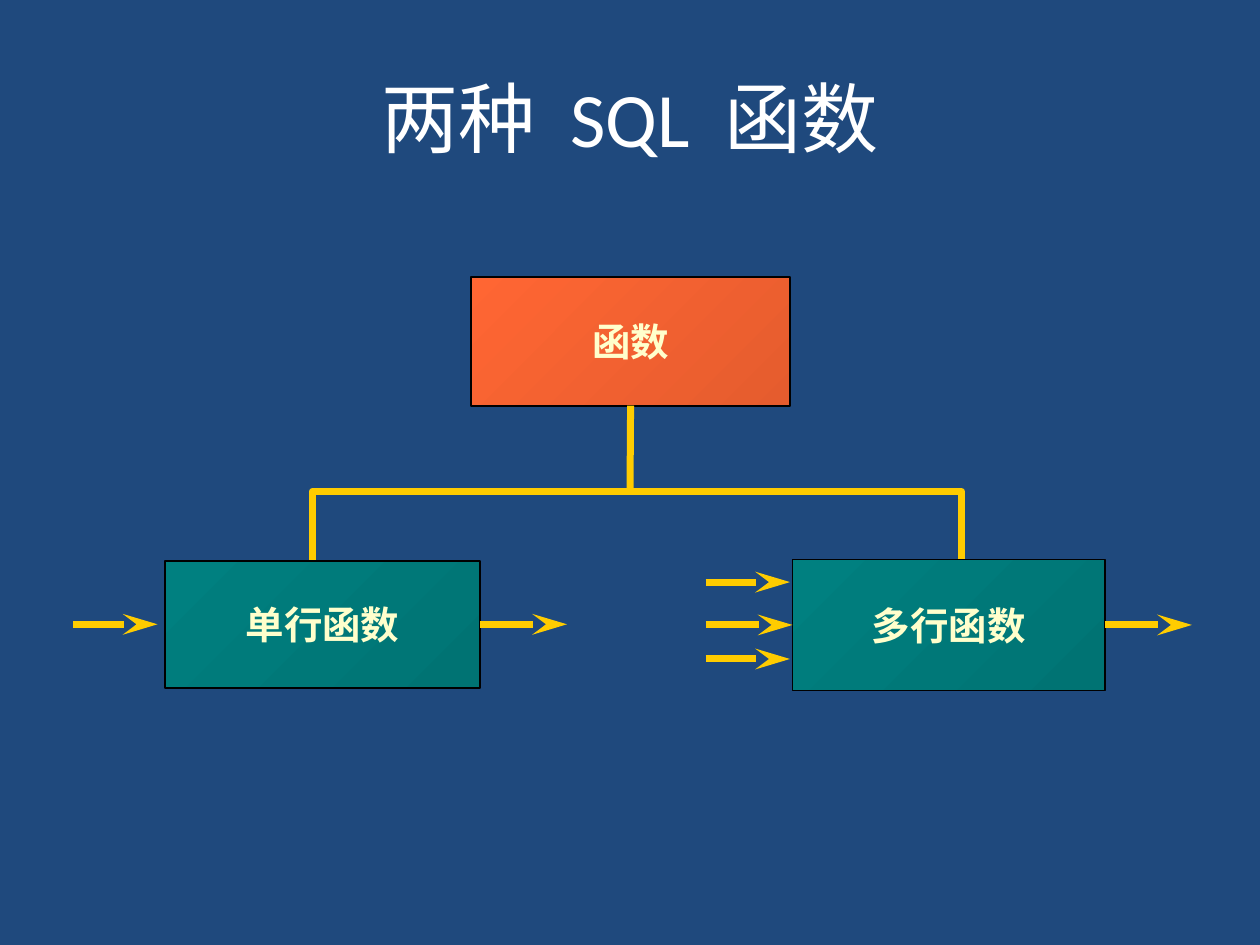
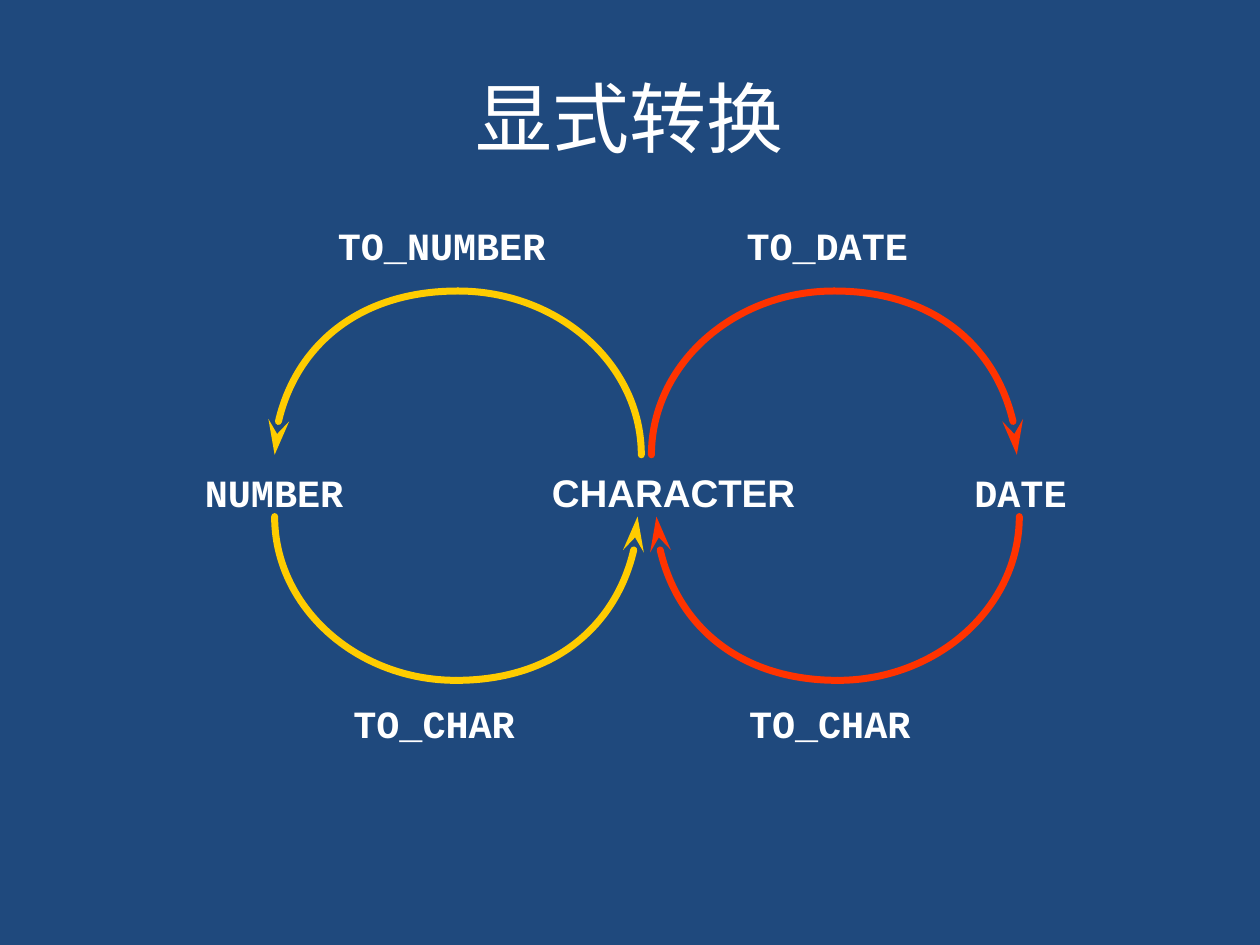
from collections import namedtuple

from lxml import etree
from pptx import Presentation
from pptx import util as u
from pptx.dml.color import RGBColor
from pptx.enum import shapes, text
from pptx.oxml import ns

Box = namedtuple("Box", "left top width height")

NAVY = RGBColor(0x1F, 0x49, 0x7D)
WHITE = RGBColor(0xFF, 0xFF, 0xFF)
BLACK = RGBColor(0, 0, 0)
CREAM = RGBColor(0xFF, 0xFF, 0xCC)
YELLOW = RGBColor(0xFF, 0xCC, 0x00)
RED = RGBColor(0xFF, 0x33, 0x00)
ORANGE_FADE = (RGBColor(0xFF, 0x66, 0x33), RGBColor(0xE5, 0x5C, 0x2E))
TEAL_FADE = (RGBColor(0x00, 0x80, 0x80), RGBColor(0x00, 0x73, 0x73))

WIDTH, HEIGHT = u.Inches(10), u.Inches(7.5)
COLUMN, ROW = WIDTH / 100, HEIGHT / 75
TITLE_BOX = Box(5, 3, 90, 12.5)
TITLE_FONT = {"name": "Calibri", "size": u.Pt(44)}
LABEL_FONT = {"name": "Courier New", "size": u.Pt(22), "bold": True}
NAME_FONT = {**LABEL_FONT, "name": "Arial"}
NODE_FONT = {**NAME_FONT, "color": CREAM}
ROUND_BEND = 0.55
ARROW_LENGTH = 6.7


def place(x, y):
    return round(x * COLUMN), round(y * ROW)


def frame_of(box):
    return place(box.left, box.top) + place(box.width, box.height)


def within(box, across, down):
    return box.left + box.width * across, box.top + box.height * down


def write(frame, words, font, gap=None):
    para = frame.paragraphs[0]
    para.alignment = text.PP_ALIGN.CENTER
    for index, word in enumerate(words):
        pieces = [(" ", gap)] if index else []
        for piece, spacing in pieces + [(word, None)]:
            span = para.add_run()
            span.text = piece
            span.font.color.rgb = font.get("color", WHITE)
            for key, value in font.items():
                if key != "color":
                    setattr(span.font, key, value)
            if spacing:
                span.font._element.set("spc", str(spacing))


def label(page, box, words, font=LABEL_FONT, anchor=text.MSO_ANCHOR.TOP, gap=None):
    frame = page.shapes.add_textbox(*frame_of(box)).text_frame
    frame.word_wrap = True
    frame.vertical_anchor = anchor
    write(frame, words, font, gap)


def new_page(deck, title):
    page = deck.slides.add_slide(deck.slide_layouts[6])
    page.background.fill.solid()
    page.background.fill.fore_color.rgb = NAVY
    label(page, TITLE_BOX, title, TITLE_FONT, text.MSO_ANCHOR.MIDDLE, 1000)
    return page


def stroke(item, color, arrow=None, cap="flat"):
    item.line.color.rgb = color
    item.line.width = u.Pt(4)
    outline = item.line._get_or_add_ln()
    outline.set("cap", cap)
    if arrow:
        etree.SubElement(outline, ns.qn("a:" + arrow), type="stealth", w="med", len="lg")


def wire(page, start, end, arrow=None):
    line = page.shapes.add_connector(
        shapes.MSO_CONNECTOR.STRAIGHT, *place(*start), *place(*end))
    stroke(line, YELLOW, arrow)
    etree.SubElement(line._element.spPr, ns.qn("a:effectLst"))
    return line


def outline(page, points, color, arrow=None):
    first, *rest = [place(*point) for point in points]
    builder = page.shapes.build_freeform(*first)
    builder.add_line_segments(rest, close=False)
    curve = builder.convert_to_shape()
    curve.fill.background()
    curve.shadow.inherit = False
    stroke(curve, color, arrow, "rnd")
    return curve


def node(page, box, words, fade):
    shape = page.shapes.add_shape(shapes.MSO_SHAPE.RECTANGLE, *frame_of(box))
    shape.shadow.inherit = False
    shape.fill.gradient()
    shape.fill.gradient_angle = 315
    for stop, color in zip(shape.fill.gradient_stops, fade):
        stop.color.rgb = color
    shape.line.color.rgb = BLACK
    shape.line.width = u.Pt(1)
    frame = shape.text_frame
    frame.word_wrap = False
    frame.vertical_anchor = text.MSO_ANCHOR.MIDDLE
    write(frame, [words], NODE_FONT)
    return shape


def function_node(page, box, words, input_offsets, gap):
    leaf = node(page, box, words, TEAL_FADE)
    x, middle = within(box, 0, 0.5)
    for offset in input_offsets:
        tip = x - gap
        y = middle + offset
        line = wire(page, (tip - ARROW_LENGTH, y), (tip, y), "tailEnd")
        if offset == 0 and gap < 0.5:
            line.end_connect(leaf, 1)
    x, middle = within(box, 1, 0.5)
    output = wire(page, (x, middle), (x + ARROW_LENGTH + 0.2, middle), "tailEnd")
    output.begin_connect(leaf, 3)


def function_tree(page, box):
    root_box = Box(37.4, box.top, 25.3, 10.2)
    single_box = Box(box.left, 44.5, 25, 10.1)
    multi_box = Box(62.9, 44.4, 24.8, 10.4)
    bus = 39
    root = node(page, root_box, "函数", ORANGE_FADE)
    trunk = wire(page, within(root_box, 0.5, 1), (50, bus))
    trunk.begin_connect(root, 2)
    left, right = 24.8, 76.3
    outline(page, [(left, 44.4), (left, bus), (right, bus), (right, 44.4)], YELLOW)
    function_node(page, single_box, "单行函数", [0], 0.6)
    function_node(page, multi_box, "多行函数", [-3.4, 0, 2.7], 0.2)


def quarter(page, side, apex, color, arrow):
    (x, y), (top_x, top_y) = side, apex
    bend_y = y + (top_y - y) * ROUND_BEND
    bend_x = top_x + (x - top_x) * (1 - (1 - ROUND_BEND))
    curve = outline(page, [side, (x, bend_y), (bend_x, top_y), apex], color, arrow)
    route = curve._element.find(".//" + ns.qn("a:path"))
    cubic = etree.SubElement(route, ns.qn("a:cubicBezTo"))
    for segment in route.findall(ns.qn("a:lnTo")):
        cubic.append(segment[0])
        route.remove(segment)


def half_loop(page, box, color, arrow_side, upward):
    side_y, apex_y = (1, 0) if upward else (0, 1)
    for side in (0, 1):
        quarter(page, within(box, side, side_y), within(box, 0.5, apex_y),
                color, "headEnd" if side == arrow_side else None)


def conversion_loops(page, box):
    upper, lower = box.top, box.top + 17.9
    depth = 13
    half_loop(page, Box(box.left, upper, 29.1, depth), YELLOW, 0, True)
    half_loop(page, Box(box.left, lower, 28.8, depth), YELLOW, 1, False)
    half_loop(page, Box(51.7, upper, 29, depth), RED, 1, True)
    half_loop(page, Box(52.1, lower, 28.8, depth), RED, 0, False)
    above, middle, below = upper - 6, upper + 13.6, upper + 32
    for left, top, width, words, font in (
        (20.8, above, 28.5, "TO_NUMBER", LABEL_FONT),
        (51.4, above, 28.5, "TO_DATE", LABEL_FONT),
        (7.5, middle, 28.5, "NUMBER", LABEL_FONT),
        (39.2, middle, 28.5, "CHARACTER", NAME_FONT),
        (71.5, middle, 19, "DATE", LABEL_FONT),
        (20.2, below, 28.5, "TO_CHAR", LABEL_FONT),
        (51.6, below, 28.5, "TO_CHAR", LABEL_FONT),
    ):
        label(page, Box(left, top, width, 4.7), [words], font)


def main():
    deck = Presentation()
    deck.slide_width, deck.slide_height = WIDTH, HEIGHT
    function_tree(new_page(deck, ["两种", "SQL", "函数"]), Box(13.1, 22, 74.6, 32.8))
    conversion_loops(new_page(deck, ["显式转换"]), Box(21.8, 23.1, 59.1, 30.9))
    deck.save("out.pptx")


if __name__ == "__main__":
    main()
